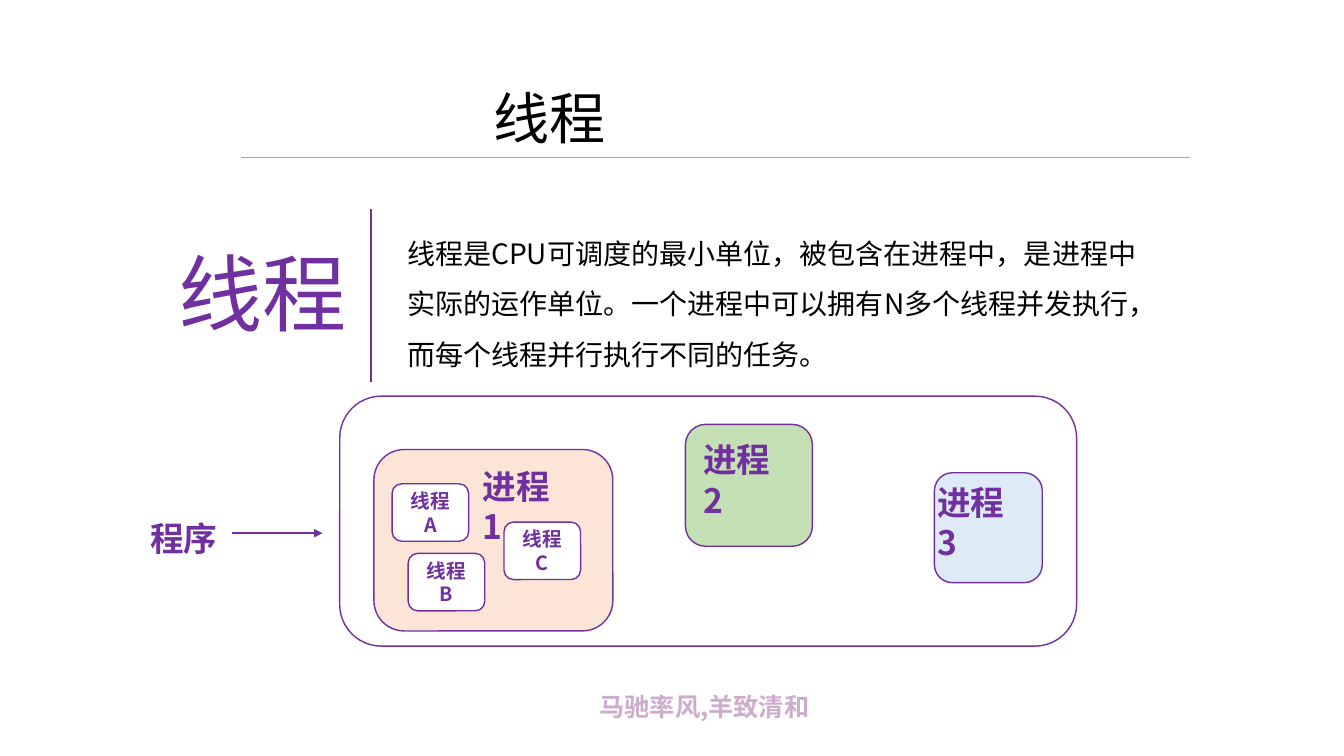
from lxml.etree import SubElement
from pptx import Presentation
from pptx.dml.color import RGBColor
from pptx.enum.shapes import MSO_CONNECTOR as Link, MSO_SHAPE as Preset
from pptx.enum.text import MSO_ANCHOR as Anchor, MSO_AUTO_SIZE as AutoSize, PP_ALIGN as Align
from pptx.oxml.ns import qn
from pptx.util import Inches, Pt

COLORS = {
    "purple": "7030A0", "black": "000000", "gray": "A5A5A5", "mauve": "CDADCB",
    "peach": "FBE5D6", "green": "C5E0B4", "blue": "DEEBF7", "white": "FFFFFF",
}
FONT = "Noto Sans CJK SC"

deck = Presentation()
deck.slide_width, deck.slide_height = Inches(13.33), Inches(7.5)
column, row = deck.slide_width / 40, deck.slide_height / 30
slide = deck.slides.add_slide(deck.slide_layouts[5])
shapes = slide.shapes


def grid(*lengths):
    return [round(length * unit) for length, unit in zip(lengths, (column, row) * 2)]


def write(holder, text, size, color, frame_format=None, paragraph_format=None, bold=False):
    frame = holder.text_frame
    frame.text = text
    paragraph = frame.paragraphs[0]
    run = paragraph.runs[0]
    formats = (
        (frame, {"word_wrap": True, "auto_size": AutoSize.NONE,
                 "vertical_anchor": Anchor.TOP, **(frame_format or {})}),
        (paragraph, {"alignment": Align.LEFT, **(paragraph_format or {})}),
        (run.font, {"size": Pt(size), "name": FONT, "bold": bold}),
    )
    for target, values in formats:
        for attribute, value in values.items():
            setattr(target, attribute, value)
    run.font.color.rgb = RGBColor.from_string(COLORS[color])
    SubElement(run.font._element, qn("a:ea"), typeface=FONT)


title = shapes.title
title.left, title.top, title.width, title.height = grid(14.4, 3.12, 3.96, 3.08)
write(title, "线程", 40, "black", {"word_wrap": False})

motto = shapes.add_textbox(*grid(17.55, 27.24, 8.52, 1.6))
write(motto, "马驰率风,羊致清和", 18, "mauve", bold=True)

term = shapes.add_textbox(*grid(5.01, 9.4, 5.64, 4.44))
write(term, "线程", 60, "purple", {"word_wrap": False})

definition = shapes.add_textbox(*grid(11.82, 8.52, 22.56, 6.24))
write(definition,
      "线程是CPU可调度的最小单位，被包含在进程中，是进程中实际的运作单位。"
      "一个进程中可以拥有N多个线程并发执行，而每个线程并行执行不同的任务。",
      20, "black", paragraph_format={"line_spacing": 1.5})

program = shapes.add_textbox(*grid(4.17, 20.36, 2.64, 2))
write(program, "程序", 24, "purple", {"word_wrap": False}, bold=True)

rules = [
    ((7.17, 6.24), (35.43, 6.24), "gray", 0.5, False),
    ((11.04, 8.28), (11.04, 15.16), "purple", 1, False),
    ((6.9, 21.16), (9.6, 21.16), "purple", 1.5, True),
]
for start, end, color, weight, arrow in rules:
    rule = shapes.add_connector(Link.STRAIGHT, *grid(*start, *end))
    rule.line.color.rgb = RGBColor.from_string(COLORS[color])
    rule.line.width = Pt(weight)
    if arrow:
        SubElement(rule.line._get_or_add_ln(), qn("a:tailEnd"), type="triangle")
    SubElement(rule._element.spPr, qn("a:effectLst"))

thread_size = (2.28, 2.28)
boxes = [
    ((10.11, 15.72, 21.93, 9.92), None, None, None),
    ((11.13, 17.84, 7.11, 7.2), "peach", "进程 1", (14.07, 18.28)),
    ((20.4, 16.84, 3.78, 4.84), "green", "进程 2", (20.64, 17.24)),
    ((27.81, 18.76, 3.21, 4.36), "blue", "进程 3", (27.6, 18.92)),
    ((11.67, 19.2, *thread_size), "white", "线程A", None),
    ((12.15, 21.96, *thread_size), "white", "线程B", None),
    ((15, 20.72, *thread_size), "white", "线程C", None),
]
for area, fill, name, label_corner in boxes:
    box = shapes.add_shape(Preset.ROUNDED_RECTANGLE, *grid(*area))
    box.shadow.inherit = False
    box.line.color.rgb = RGBColor.from_string(COLORS["purple"])
    box.line.width = Pt(1)
    if fill:
        box.fill.solid()
        box.fill.fore_color.rgb = RGBColor.from_string(COLORS[fill])
    else:
        box.fill.background()
    if label_corner:
        label = shapes.add_textbox(*grid(*label_corner, 3.54, 2))
        write(label, name, 24, "purple", {"margin_right": Inches(0.3)}, bold=True)
    elif name:
        write(box, name, 14, "purple", {"vertical_anchor": Anchor.MIDDLE},
              {"alignment": Align.CENTER}, bold=True)

deck.save("out.pptx")
